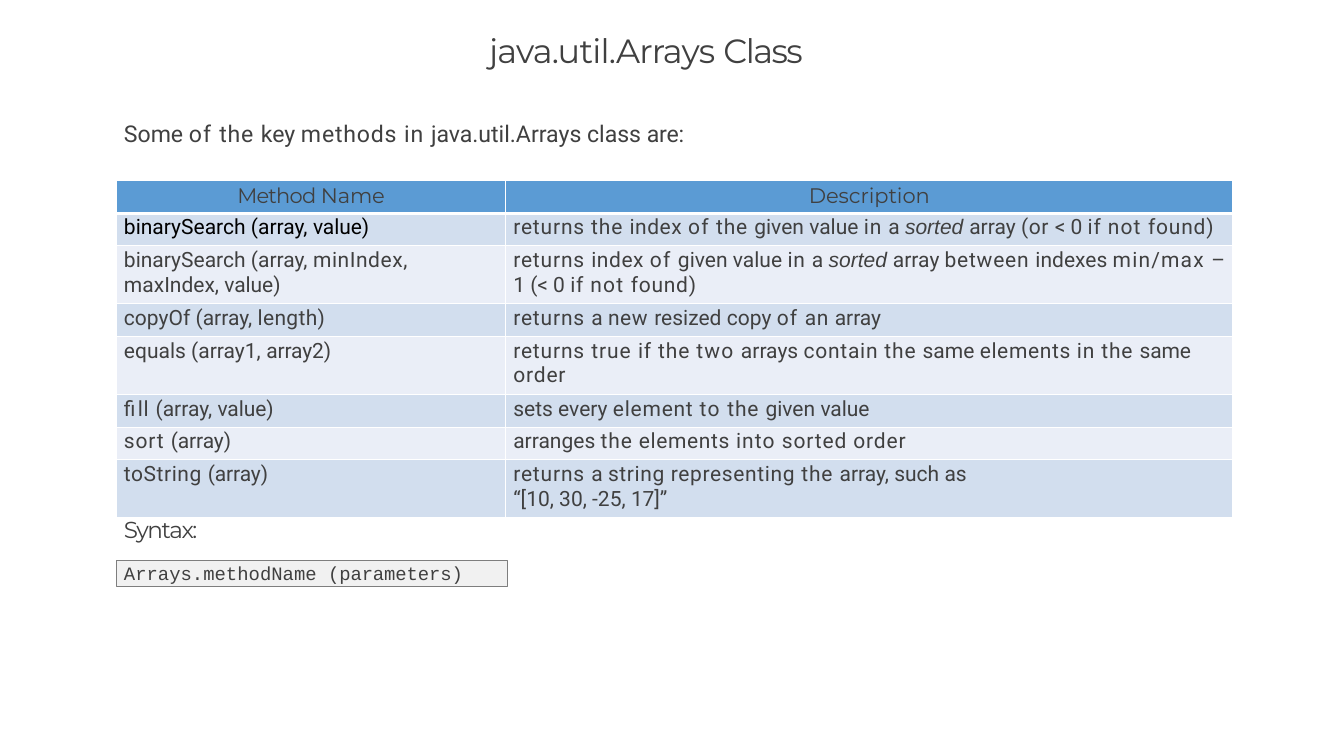
import itertools

import lxml.etree
import pptx
import pptx.dml.color
import pptx.enum.shapes
import pptx.enum.text
import pptx.oxml.ns
import pptx.util

Inches = pptx.util.Inches
Pt = pptx.util.Pt

TITLE = "java.util.Arrays Class"
INTRO = "Some of the key methods in java.util.Arrays class are:"
SYNTAX = "Syntax:"
CODE = "Arrays.methodName (parameters)"
HEADS = ["Method Name", "Description"]
# Each line is a paragraph; a word between asterisks is italic.
METHODS = [
    ("binarySearch (array, value)",
     "returns the index of the given value in a *sorted* array (or < 0 if not found)"),
    ("binarySearch (array, minIndex, maxIndex, value)",
     "returns index of given value in a *sorted* array between indexes min/max –\n"
     "1 (< 0 if not found)"),
    ("copyOf (array, length)", "returns a new resized copy of an array"),
    ("equals (array1, array2)",
     "returns true if the two arrays contain the same elements in the same\norder"),
    ("fill (array, value)", "sets every element to the given value"),
    ("sort (array)", "arranges the elements into sorted order"),
    ("toString (array)",
     "returns a string representing the array, such as\n“[10, 30, -25, 17]”"),
]
COLS = [5.15, 9.62]
LINE_ROW, TALL_ROW = 0.43, 0.77
TALL = {2, 4, 7}

THEME = {
    "ink": "404040", "black": "000000", "white": "FFFFFF",
    "head": "5B9BD4", "odd": "D2DEEE", "even": "EAEEF7",
    "code": "F1F1F1", "edge": "7E7E7E",
    "sans": "Roboto", "show": "Montserrat", "mono": "Courier New",
    "slant": "Arial",
    "title": 32, "lead": 22, "cell": 20, "mono_size": 18,
}

# Letter spacing in points, by word; words not listed have none.
GROUPS = {
    1.2: "to", 1.1: "of two not min/max", 1: "into", 0.9: "true",
    0.8: "returns the in if methods sorted sort order",
    0.7: "found) between contain element fill",
    0.6: "new an elements string representing",
    0.5: "index (or minIndex, toString", 0.3: "length)",
    -0.1: "value) array2) (array) (< (parameters) Description",
    -0.2: "are: as 17]” Name", -0.5: "–", -0.8: "Method", -1.4: "Syntax:",
}
PACE = {word: pace for pace, words in GROUPS.items() for word in words.split()}
LAST = {"value": -0.1, "array": -0.1, "same": -0.2}


def color(name):
    return pptx.dml.color.RGBColor.from_string(THEME[name])


def split(line, pace):
    """Return (spacing, italic, text) runs, joining words that share a format."""
    words = line.split()
    marks = []
    for spot, word in enumerate(words):
        last = spot == len(words) - 1
        slant = word.startswith("*")
        gap = 0 if slant else pace.get(word, 0)
        if last:
            gap = LAST.get(word, gap)
        marks.append((gap, slant, word.strip("*") + ("" if last else " ")))
    return [(gap, slant, "".join(mark[2] for mark in group))
            for (gap, slant), group in itertools.groupby(marks, lambda m: m[:2])]


def write(frame, text, font="sans", size="cell", ink="ink", indent=0.1,
          before=2.5, center=False, pace=None):
    """Fill a text frame; pace overrides the letter spacing of some words."""
    table = {**PACE, **(pace or {})}
    for spot, line in enumerate(text.split("\n")):
        para = frame.paragraphs[0] if spot == 0 else frame.add_paragraph()
        para.space_before = Pt(0 if spot else before)
        if center:
            para.alignment = pptx.enum.text.PP_ALIGN.CENTER
        else:
            props = para._p.get_or_add_pPr()
            props.set("marL", str(Inches(indent)))
            props.set("indent", "0")
        for gap, slant, part in split(line, table):
            run = para.add_run()
            run.text = part
            run.font.name = THEME["slant" if slant else font]
            run.font.size = Pt(THEME[size])
            run.font.bold = False
            run.font.italic = slant
            run.font.color.rgb = color(ink)
            run._r.get_or_add_rPr().set("spc", str(round(gap * 100)))


def fit(frame, top):
    frame.margin_left = frame.margin_right = frame.margin_bottom = 0
    frame.margin_top = Inches(top)
    frame.word_wrap = True
    frame.auto_size = pptx.enum.text.MSO_AUTO_SIZE.SHAPE_TO_FIT_TEXT


def label(slide, place, text, **form):
    frame = slide.shapes.add_textbox(*map(Inches, place)).text_frame
    fit(frame, 0.01)
    write(frame, text, indent=0.01, **form)


def border(cell, **widths):
    props = cell._tc.get_or_add_tcPr()
    for side in "LRTB":
        line = lxml.etree.SubElement(props, pptx.oxml.ns.qn("a:ln" + side),
                                     w=str(Pt(widths.get(side, 1))))
        fill = lxml.etree.SubElement(line, pptx.oxml.ns.qn("a:solidFill"))
        lxml.etree.SubElement(fill, pptx.oxml.ns.qn("a:srgbClr"),
                              val=THEME["white"])


def grid(slide):
    rows = [HEADS] + METHODS
    highs = [TALL_ROW if spot in TALL else LINE_ROW for spot in range(len(rows))]
    place = (1.54, 2.39, sum(COLS), sum(highs))
    table = slide.shapes.add_table(len(rows), len(COLS),
                                   *map(Inches, place)).table
    for col, wide in zip(table.columns, COLS):
        col.width = Inches(wide)
    for r, (row, high) in enumerate(zip(rows, highs)):
        table.rows[r].height = Inches(high)
        for c, text in enumerate(row):
            cell = table.cell(r, c)
            cell.margin_left = cell.margin_right = cell.margin_bottom = 0
            cell.margin_top = Inches(0.03)
            border(cell, B=3 if r == 0 else 1, T=3 if r == 1 else 1)
            cell.fill.solid()
            cell.fill.fore_color.rgb = color(
                "head" if r == 0 else "odd" if r % 2 else "even")
            write(cell.text_frame, text, font="sans" if r else "show",
                  ink="black" if (r, c) == (1, 0) else "ink", center=r == 0)


def code(slide):
    box = slide.shapes.add_shape(pptx.enum.shapes.MSO_SHAPE.RECTANGLE,
                                 *map(Inches, (1.54, 7.41, 5.17, 0.35)))
    box.shadow.inherit = False
    box.fill.solid()
    box.fill.fore_color.rgb = color("code")
    box.line.color.rgb = color("edge")
    box.line.width = Pt(0.72)
    frame = box.text_frame
    fit(frame, 0.02)
    frame.vertical_anchor = pptx.enum.text.MSO_ANCHOR.TOP
    write(frame, CODE, font="mono", size="mono_size", before=1.5)
    frame.paragraphs[0].alignment = pptx.enum.text.PP_ALIGN.LEFT


def main():
    deck = pptx.Presentation()
    deck.slide_width, deck.slide_height = Inches(17.78), Inches(10)
    slide = deck.slides.add_slide(deck.slide_layouts[6])
    label(slide, (6.46, 0.38, 4.87, 0.56), TITLE, font="show", size="title",
          before=1.1, pace={"java.util.Arrays": -0.8, "Class": -1.5})
    label(slide, (1.63, 1.57, 7.58, 0.39), INTRO, size="lead", before=0.9,
          pace={"in": 0.9})
    grid(slide)
    label(slide, (1.63, 6.81, 1.15, 0.39), SYNTAX, font="show", size="lead",
          before=0.9)
    code(slide)
    deck.save("out.pptx")


if __name__ == "__main__":
    main()
